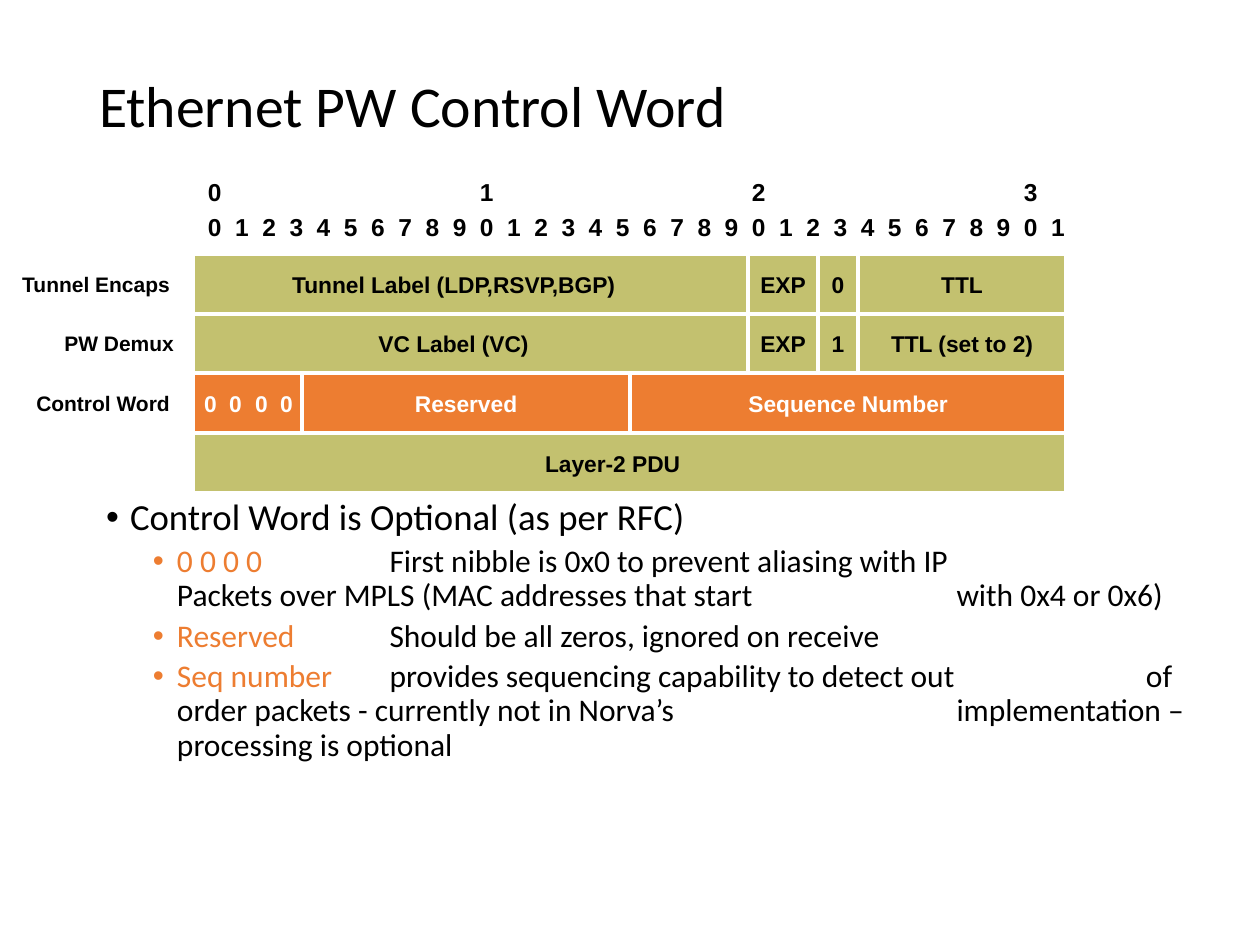
from lxml import etree
from pptx import Presentation
from pptx import util as u
from pptx.dml.color import RGBColor
from pptx.enum import shapes, text
from pptx.oxml.ns import qn

COLORS = {"black": "000000", "white": "FFFFFF", "olive": "C3C16F", "orange": "ED7D31"}
ROW_EDGES = [254, 314, 373, 433, 493]
LABEL_EDGES = [193, 748, 818, 858, 1066]
WORD_EDGES = [193, 302, 630, 1066]
BIT_PITCH = 27.2
ALIGN = text.PP_ALIGN


def px(length):
    return u.Emu(round(length * 914400 / 126))


def color(name):
    return RGBColor.from_string(COLORS[name])


def place(shape, left, top, width, height):
    shape.left, shape.top, shape.width, shape.height = map(px, (left, top, width, height))


def set_frame(frame, anchor, insets=(12, 6, 12, 6)):
    frame.word_wrap = True
    frame.auto_size = text.MSO_AUTO_SIZE.NONE
    frame.vertical_anchor = anchor
    (frame.margin_left, frame.margin_top,
     frame.margin_right, frame.margin_bottom) = map(px, insets)


def add_run(paragraph, words, size, font, color_name, bold=False):
    run = paragraph.add_run()
    run.text = words
    run.font.size = u.Pt(size)
    run.font.name = font
    run.font.bold = bold
    run.font.color.rgb = color(color_name)


def add_tabs(paragraph, stops):
    tab_list = etree.SubElement(paragraph._p.get_or_add_pPr(), qn("a:tabLst"))
    for stop in stops:
        etree.SubElement(tab_list, qn("a:tab"), pos=str(px(stop)), algn="l")


def add_bullet(paragraph, margin, hanging):
    properties = paragraph._p.get_or_add_pPr()
    properties.set("marL", str(px(margin)))
    properties.set("indent", str(-px(hanging)))
    properties.set("defTabSz", str(u.Inches(0.75)))
    etree.SubElement(properties, qn("a:buFont"), typeface="Arial")
    etree.SubElement(properties, qn("a:buChar"), char="•")


def add_title(slide, words):
    title = slide.shapes.title
    place(title, 87, 50, 1086, 117)
    set_frame(title.text_frame, text.MSO_ANCHOR.MIDDLE)
    paragraph = title.text_frame.paragraphs[0]
    paragraph.alignment = ALIGN.LEFT
    paragraph.line_spacing = 0.9
    add_run(paragraph, words, 33, "Calibri", "black")


def add_body(slide, items):
    """Fill the body from (level, runs) items, each run being (words, color)."""
    body = slide.placeholders[1]
    place(body, 94, 493, 1135, 427)
    frame = body.text_frame
    set_frame(frame, text.MSO_ANCHOR.TOP)
    for index, (level, runs) in enumerate(items):
        paragraph = frame.add_paragraph() if index else frame.paragraphs[0]
        paragraph.level = level
        paragraph.line_spacing = 0.9
        paragraph.space_before = u.Pt(3.8 if index else 0)
        add_bullet(paragraph, 71 if level else 24, 24)
        add_tabs(paragraph, [24])
        for words, color_name in runs:
            add_run(paragraph, words, 18 if level else 21, "Calibri", color_name)


def add_ruler(slide):
    """Number the 32 bits, with the tens in the row above."""
    box = slide.shapes.add_textbox(px(192), px(175), px(921), px(72))
    frame = box.text_frame
    set_frame(frame, text.MSO_ANCHOR.TOP, (16, 5, 10, 5))
    rows = [(10, range(4), 0.9, 0), (1, range(32), 0.7, 8)]
    for index, (step, numbers, spacing, before) in enumerate(rows):
        paragraph = frame.add_paragraph() if index else frame.paragraphs[0]
        paragraph.line_spacing = spacing
        paragraph.space_before = u.Pt(before)
        add_tabs(paragraph, [BIT_PITCH * step * n for n in numbers[1:]])
        add_run(paragraph, "\t".join(str(n % 10) for n in numbers), 14, "Arial", "black", True)


def add_row_label(slide, row, words, right):
    top, bottom = ROW_EDGES[row:row + 2]
    box = slide.shapes.add_textbox(px(0), px(top), px(right), px(bottom - top))
    set_frame(box.text_frame, text.MSO_ANCHOR.MIDDLE, (0, 6, 0, 6))
    paragraph = box.text_frame.paragraphs[0]
    paragraph.alignment = ALIGN.RIGHT
    add_run(paragraph, words, 12, "Arial", "black", True)


def add_field(slide, row, left, right, words, fill, ink, shift=0):
    """Draw one header field; shift moves its centred text to the left."""
    top, bottom = ROW_EDGES[row:row + 2]
    field = slide.shapes.add_shape(shapes.MSO_SHAPE.RECTANGLE, px(left), px(top),
                                   px(right - left), px(bottom - top))
    field.shadow.inherit = False
    field.fill.solid()
    field.fill.fore_color.rgb = color(fill)
    field.line.color.rgb = color("white")
    field.line.width = u.Pt(2.25)
    set_frame(field.text_frame, text.MSO_ANCHOR.MIDDLE, (11, 5, 11 + 2 * shift, 5))
    paragraph = field.text_frame.paragraphs[0]
    paragraph.alignment = ALIGN.CENTER
    if "\t" in words:
        paragraph.alignment = ALIGN.LEFT
        field.text_frame.margin_right = 0
        add_tabs(paragraph, [25, 51, 76])
    add_run(paragraph, words, 13, "Arial", ink, True)


def add_field_row(slide, row, edges, names, fill="olive", ink="black", shift=0):
    """Draw a row of fields between edges; shift applies to the first field."""
    for index, words in enumerate(names):
        add_field(slide, row, edges[index], edges[index + 1], words, fill, ink,
                  0 if index else shift)


def main():
    presentation = Presentation()
    presentation.slide_width, presentation.slide_height = px(1260), px(945)
    slide = presentation.slides.add_slide(presentation.slide_layouts[1])
    add_title(slide, "Ethernet PW Control Word")
    add_body(slide, [
        (0, [("Control Word is Optional (as per RFC)", "black")]),
        (1, [("0 0 0 0\t\t", "orange"),
             ("First nibble is 0x0 to prevent aliasing with IP \t\t\tPackets over MPLS "
              "(MAC addresses that start \t\t\twith 0x4 or 0x6)", "black")]),
        (1, [("Reserved", "orange"),
             (" \tShould be all zeros, ignored on receive", "black")]),
        (1, [("Seq number", "orange"),
             (" \tprovides sequencing capability to detect out \t\t\tof order packets - "
              "currently not in Norva’s \t\t\timplementation – processing is optional",
              "black")]),
    ])
    add_ruler(slide)
    add_field_row(slide, 0, LABEL_EDGES,
                  ["Tunnel Label (LDP,RSVP,BGP)", "EXP", "0", "TTL"], shift=17)
    add_field_row(slide, 1, LABEL_EDGES,
                  ["VC Label (VC)", "EXP", "1", "TTL (set to 2)"], shift=17)
    add_field_row(slide, 2, WORD_EDGES,
                  ["0\t0\t0\t0", "Reserved", "Sequence Number"], "orange", "white")
    add_field_row(slide, 3, [193, 1066], ["Layer-2 PDU"], shift=17)
    labels = [("Tunnel Encaps", 170), ("PW Demux", 174), ("Control Word", 170)]
    for row, (words, right) in enumerate(labels):
        add_row_label(slide, row, words, right)
    presentation.save("out.pptx")


if __name__ == "__main__":
    main()
